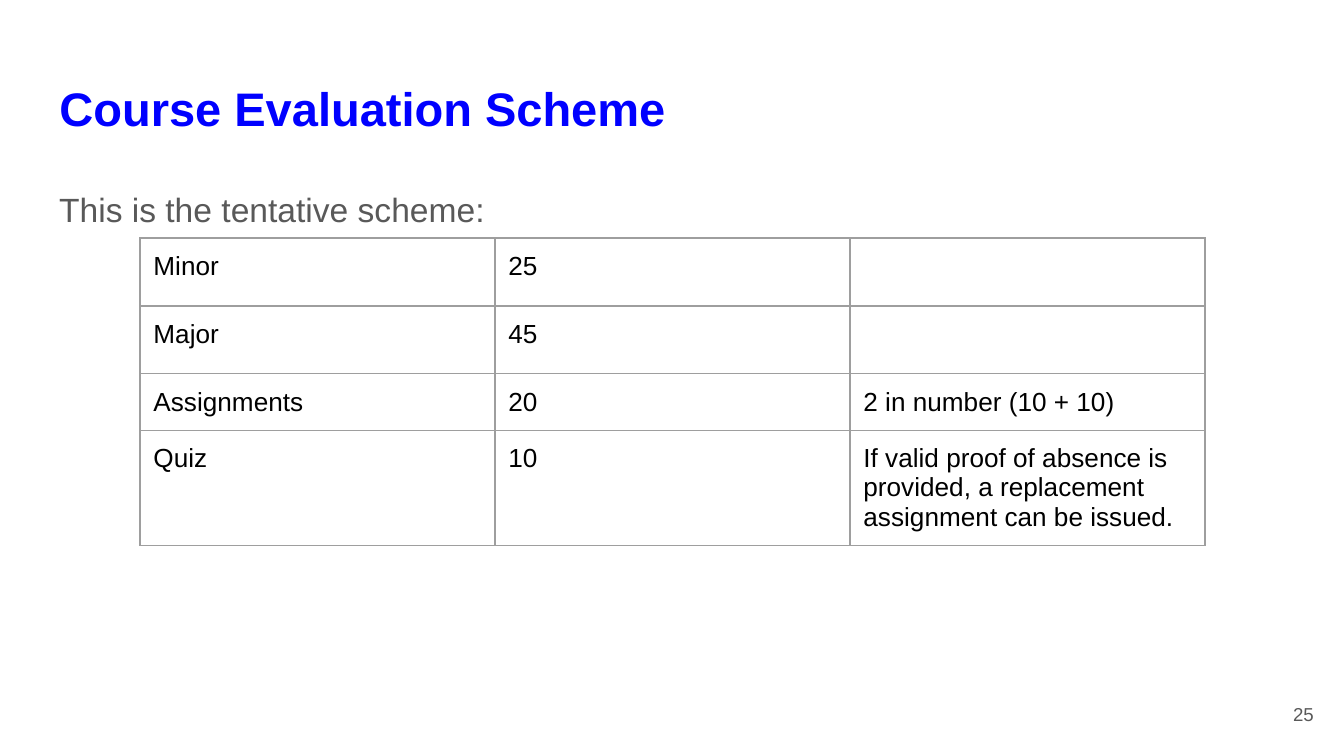
import pptx
import pptx.dml.color
import pptx.enum.text
import pptx.oxml
import pptx.oxml.ns
import pptx.util

RGBColor = pptx.dml.color.RGBColor
ALIGN = pptx.enum.text.PP_ALIGN
ANCHOR = pptx.enum.text.MSO_ANCHOR

BLUE = RGBColor(0x00, 0x00, 0xFF)
GRAY = RGBColor(0x59, 0x59, 0x59)
BLACK = RGBColor(0x00, 0x00, 0x00)
RULE = RGBColor(0x9E, 0x9E, 0x9E)

EMU_PER_PX = 914400 / 134.4


def px(length):
    return pptx.util.Emu(round(length * EMU_PER_PX))


class SlideBuilder:
    font_name = "Arial"
    inset = pptx.util.Inches(0.1)
    rule_width = pptx.util.Pt(0.75)

    def __init__(self, deck):
        self.slide = deck.slides.add_slide(deck.slide_layouts[5])

    def styled_run(self, paragraph, text, size, color, bold=False):
        run = paragraph.add_run()
        run.text = text
        run.font.name = self.font_name
        run.font.size = pptx.util.Pt(size)
        run.font.color.rgb = color
        run.font.bold = bold

    def pad(self, target):
        target.margin_left = target.margin_right = self.inset
        target.margin_top = target.margin_bottom = self.inset

    def frame(self, shape, anchor, align):
        text_frame = shape.text_frame
        text_frame.word_wrap = True
        text_frame.auto_size = pptx.enum.text.MSO_AUTO_SIZE.NONE
        text_frame.vertical_anchor = anchor
        self.pad(text_frame)
        paragraph = text_frame.paragraphs[0]
        paragraph.alignment = align
        return paragraph

    def title(self, box, text, size, color):
        heading = self.slide.shapes.title
        heading.left, heading.top, heading.width, heading.height = map(px, box)
        paragraph = self.frame(heading, ANCHOR.TOP, ALIGN.LEFT)
        self.styled_run(paragraph, text, size, color, bold=True)

    def text(self, box, text, size, color, anchor=ANCHOR.TOP,
             align=ALIGN.LEFT, line_spacing=1.0):
        shape = self.slide.shapes.add_textbox(*map(px, box))
        paragraph = self.frame(shape, anchor, align)
        paragraph.line_spacing = line_spacing
        self.styled_run(paragraph, text, size, color)

    def border(self, cell):
        properties = cell._tc.get_or_add_tcPr()
        namespace = pptx.oxml.ns.nsdecls("a")
        for side in ("lnL", "lnR", "lnT", "lnB"):
            properties.append(pptx.oxml.parse_xml(
                f'<a:{side} {namespace} w="{self.rule_width}"><a:solidFill>'
                f'<a:srgbClr val="{RULE}"/></a:solidFill></a:{side}>'))

    def table(self, left, top, column_width, row_height, rows, size, color):
        columns = len(rows[0])
        grid = self.slide.shapes.add_table(
            len(rows), columns, px(left), px(top),
            px(column_width * columns), px(row_height * len(rows))).table
        grid.first_row = grid.horz_banding = False
        for r, row in enumerate(rows):
            for c, lines in enumerate(row):
                cell = grid.cell(r, c)
                self.pad(cell)
                self.border(cell)
                cell.fill.background()
                for i, line in enumerate(lines):
                    text_frame = cell.text_frame
                    paragraph = (text_frame.add_paragraph() if i
                                 else text_frame.paragraphs[0])
                    self.styled_run(paragraph, line, size, color)


def main():
    deck = pptx.Presentation()
    deck.slide_width, deck.slide_height = px(1344), px(756)
    builder = SlideBuilder(deck)

    # Heading and introduction
    builder.title((46, 66, 1253, 85), "Course Evaluation Scheme", 25.2, BLUE)
    builder.text((46, 169, 1253, 503), "This is the tentative scheme:",
                 18, GRAY, line_spacing=1.15)

    # Slide number
    builder.text((1246, 685, 81, 58), "25", 10, GRAY,
                 anchor=ANCHOR.MIDDLE, align=ALIGN.RIGHT)

    # Marks per component; each cell is a list of paragraphs
    scheme = [
        (["Minor"], ["25"], []),
        (["Major"], ["45"], []),
        (["Assignments"], ["20"], ["2 in number (10 + 10)"]),
        (["Quiz"], ["10"],
         ["If valid proof of absence is",
          "provided, a replacement assignment can be issued."]),
    ]
    builder.table(140, 238, 355, 56, scheme, 14, BLACK)

    deck.save("out.pptx")


if __name__ == "__main__":
    main()
